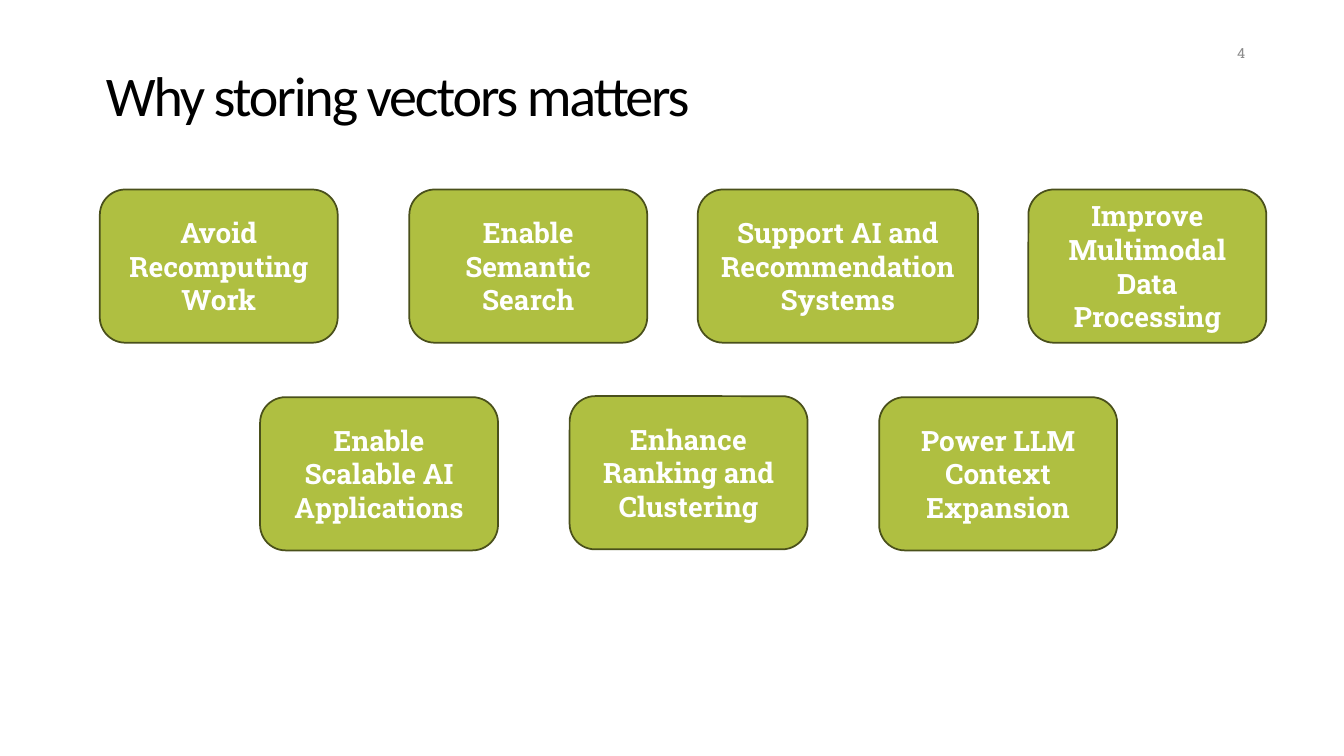
from pptx import Presentation
from pptx.dml.color import RGBColor
from pptx.enum import shapes, text
from pptx.util import Inches, Pt

BLACK = RGBColor(0x00, 0x00, 0x00)
WHITE = RGBColor(0xFF, 0xFF, 0xFF)
GRAY = RGBColor(0x8C, 0x8C, 0x8C)
GREEN = RGBColor(0xAF, 0xBF, 0x41)
OLIVE = RGBColor(0x4A, 0x50, 0x1B)


def write(frame, words, font, size, color, align, bold=False):
    frame.text = words
    frame.word_wrap = True
    frame.auto_size = text.MSO_AUTO_SIZE.NONE
    frame.vertical_anchor = text.MSO_ANCHOR.MIDDLE
    paragraph = frame.paragraphs[0]
    paragraph.alignment = align
    run = paragraph.runs[0]
    run.font.name = font
    run.font.size = Pt(size)
    run.font.bold = bold
    run.font.color.rgb = color
    return paragraph


deck = Presentation()
deck.slide_width = Inches(13.33)
deck.slide_height = Inches(7.5)
slide = deck.slides.add_slide(deck.slide_layouts[5])

heading = slide.shapes.title
heading.left, heading.top = Inches(0), Inches(-0.36)
heading.width, heading.height = Inches(7.89), Inches(2.69)
frame = heading.text_frame
frame.margin_left = frame.margin_right = Inches(0.25)
frame.margin_top = frame.margin_bottom = Inches(0.25)
heading_line = write(frame, "Why storing vectors matters", "Calibri", 40, BLACK,
                     text.PP_ALIGN.CENTER)
heading_line.line_spacing = 0.85
heading_line.runs[0]._r.get_or_add_rPr().set("spc", "-150")

page_number = slide.shapes.add_textbox(Inches(11.45), Inches(0.35), Inches(1), Inches(0.35))
write(page_number.text_frame, "4", "Roboto Slab", 10, GRAY, text.PP_ALIGN.RIGHT)

CARD_WIDTH = 2.36
CARD_HEIGHT = 1.52
reasons = [
    ("Avoid Recomputing Work", 0.99, 1.88, CARD_WIDTH),
    ("Enable Semantic Search", 4.06, 1.88, CARD_WIDTH),
    ("Support AI and Recommendation Systems", 6.92, 1.88, 2.78),
    ("Improve Multimodal Data Processing", 10.2, 1.88, CARD_WIDTH),
    ("Enable Scalable AI Applications", 2.58, 3.94, CARD_WIDTH),
    ("Enhance Ranking and Clustering", 5.65, 3.93, CARD_WIDTH),
    ("Power LLM Context Expansion", 8.72, 3.94, CARD_WIDTH),
]
for reason, left, top, width in reasons:
    card = slide.shapes.add_shape(shapes.MSO_SHAPE.ROUNDED_RECTANGLE, Inches(left),
                                  Inches(top), Inches(width), Inches(CARD_HEIGHT))
    card.shadow.inherit = False
    card.fill.solid()
    card.fill.fore_color.rgb = GREEN
    card.line.color.rgb = OLIVE
    card.line.width = Pt(1.25)
    write(card.text_frame, reason, "Roboto Slab", 20, WHITE, text.PP_ALIGN.CENTER, bold=True)

deck.save("out.pptx")
